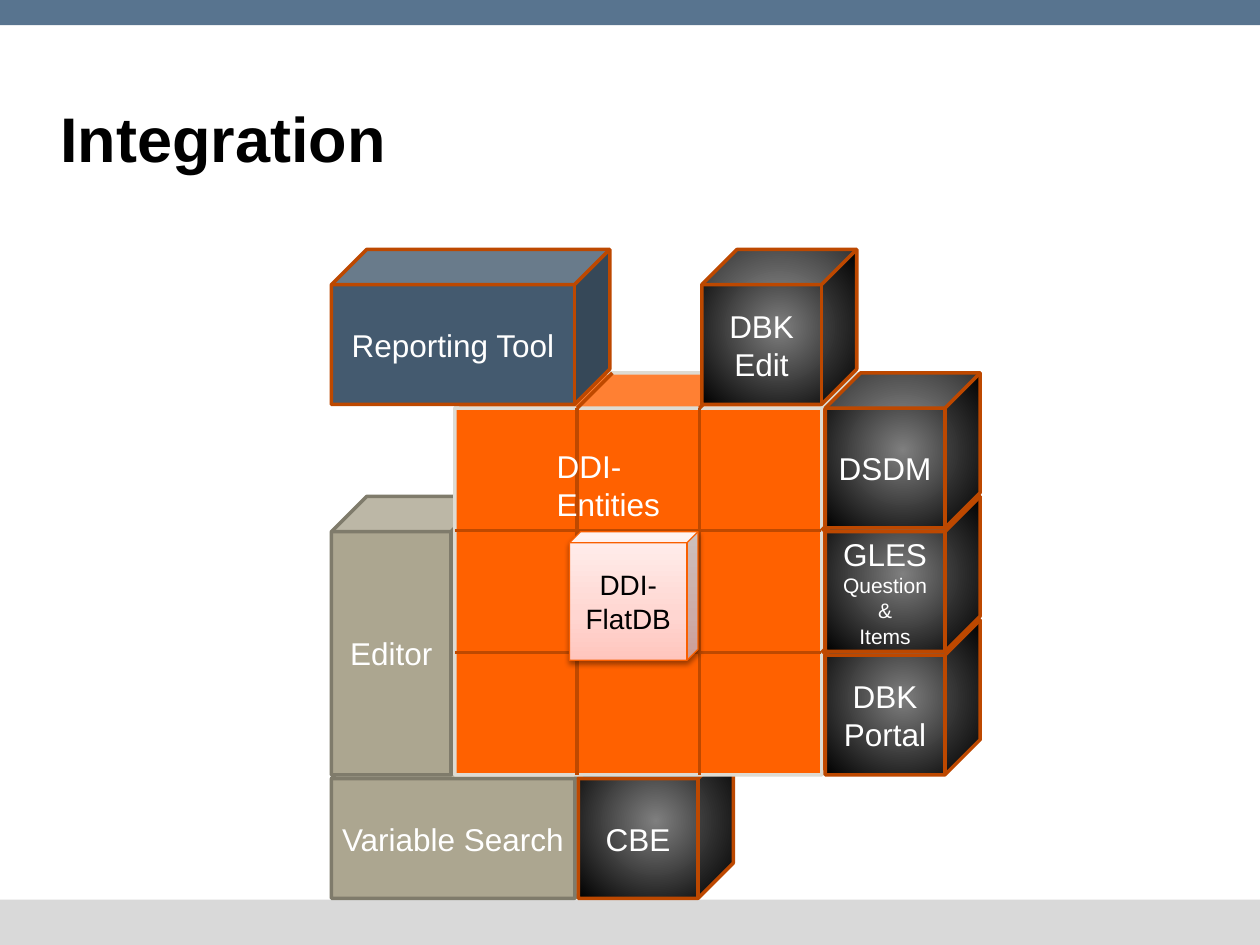
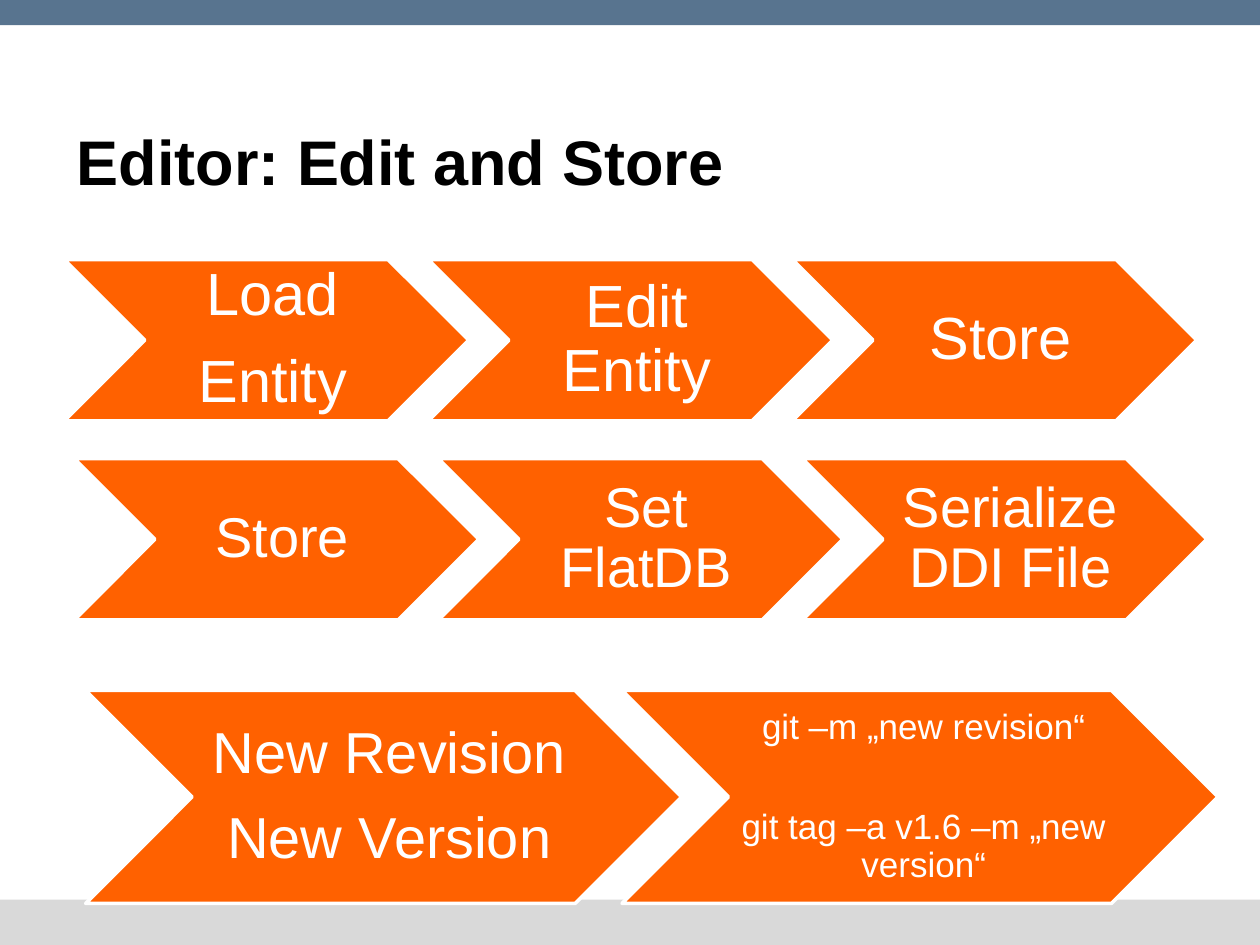
from pptx import Presentation
from pptx.dml.color import RGBColor
from pptx.enum.shapes import MSO_CONNECTOR as Connector, MSO_SHAPE as Shape
from pptx.enum.text import MSO_ANCHOR as Anchor, MSO_AUTO_SIZE as AutoSize, PP_ALIGN as Align
from pptx.oxml import parse_xml
from pptx.oxml.ns import nsdecls, qn
from pptx.util import Pt

PX = 9144  # EMU per px, 100 px to the inch
FONT = "Arial"
COLORS = {
    "band": "58748F", "footer": "D9D9D9", "white": "FFFFFF", "black": "000000",
    "orange": "FF6100", "rust": "BD4800", "grid": "BF4900", "pale": "DEDBD3",
    "sand": "ACA690", "sand edge": "7F7B6B", "slate": "445A6F", "flame": "F95F00",
}
DARK_STOPS = [(0, "7F7F7F"), (100, "000000")]
PINK_STOPS = [(0, "FFC5BD"), (35, "FFD6D1"), (100, "FFF0EE")]
FROM_CENTRE = ('<a:path path="circle"><a:fillToRect l="50000" t="50000" '
               'r="50000" b="50000"/></a:path>')
UPWARD = '<a:lin ang="16200000" scaled="0"/>'
# fill colour (None for the dark gradient) and edge colour
CUBE_STYLES = {
    "sand": ("sand", "sand edge"),
    "dark": (None, "rust"),
    "slate": ("slate", "rust"),
    "core": ("orange", "pale"),
}
CELL, DEPTH = 98, 28
CUBE_EXTRA = 25  # how far a cube reaches beyond its cells


def rgb(name):
    return RGBColor.from_string(COLORS[name])


def emu(*lengths):
    return [round(length * PX) for length in lengths]


def set_all(target, values):
    for name, value in values.items():
        setattr(target, name, value)


def add_block(slide, kind, box, fill=None, edge=None, weight=2):
    block = slide.shapes.add_shape(kind, *emu(*box))
    block.shadow.inherit = False
    if fill:
        block.fill.solid()
        block.fill.fore_color.rgb = rgb(fill)
    if edge:
        block.line.color.rgb = rgb(edge)
        block.line.width = Pt(weight)
    else:
        block.line.fill.background()
    return block


def fill_gradient(block, stops, direction):
    block.fill.background()
    marks = "".join(f'<a:gs pos="{pos * 1000}"><a:srgbClr val="{color}"/></a:gs>'
                    for pos, color in stops)
    gradient = parse_xml(f'<a:gradFill {nsdecls("a")} rotWithShape="1">'
                         f'<a:gsLst>{marks}</a:gsLst>{direction}</a:gradFill>')
    properties = block._element.spPr
    properties.replace(properties.find(qn("a:noFill")), gradient)


def write(block, lines, color="white", align=Align.CENTER, anchor=Anchor.MIDDLE,
          insets=(5, 5, 5, 5), **spacing):
    """Fill a shape with (text, size) lines."""
    frame = block.text_frame
    left, top, right, bottom = emu(*insets)
    set_all(frame, {"word_wrap": True, "vertical_anchor": anchor,
                    "margin_left": left, "margin_top": top,
                    "margin_right": right, "margin_bottom": bottom})
    for index, (text, size) in enumerate(lines):
        line = frame.add_paragraph() if index else frame.paragraphs[0]
        line.text = text
        set_all(line, {"alignment": align, **spacing})
        set_all(line.font, {"name": FONT, "size": Pt(size)})
        line.font.color.rgb = rgb(color)


def add_bands(layout, slide):
    """Draw the top and bottom bands and move them behind everything on the layout."""
    for color, box in (("footer", (0, 714, 1000, 36)), ("band", (-20, -11, 1039, 31))):
        band = add_block(slide, Shape.RECTANGLE, box, color)
        layout.shapes._spTree.insert(2, band._element)


def set_title(slide, text, left, top):
    title = slide.shapes.title
    box = dict(zip(("left", "top", "width", "height"), emu(left, top, 900, 125)))
    set_all(title, box)
    write(title, [(text, 36)], "black", Align.LEFT, Anchor.TOP, (10, 5, 10, 5))
    title.text_frame.auto_size = AutoSize.NONE
    title.text_frame.paragraphs[0].font.bold = True


def add_cube(slide, origin, column, row, columns, rows, style, lines=()):
    """Place a cube that covers the given cells of the wall."""
    left, top = origin
    width, height = (CELL * cells + CUBE_EXTRA for cells in (columns, rows))
    box = (left + CELL * column, top + CELL * row, width, height)
    fill, edge = CUBE_STYLES[style]
    cube = add_block(slide, Shape.CUBE, box, fill, edge)
    cube.adjustments[0] = DEPTH / min(width, height)
    if not fill:
        fill_gradient(cube, DARK_STOPS, FROM_CENTRE)
    write(cube, lines)
    return box


def add_seam(slide, *ends):
    seam = slide.shapes.add_connector(Connector.STRAIGHT, *emu(*ends))
    seam.line.color.rgb = rgb("grid")
    seam.line.width = Pt(2)
    seam._element.spPr.append(parse_xml(f'<a:effectLst {nsdecls("a")}/>'))


def add_seams(slide, box):
    """Divide the front, top and side of the core cube into thirds."""
    left, top, width, height = box
    front, right, bottom = top + DEPTH, left + width - DEPTH, top + height
    for third in (1, 2):
        x = left + (right - left) * third / 3
        y = front + (bottom - front) * third / 3
        add_seam(slide, x, front, x, bottom)
        add_seam(slide, right, y, left, y)
        add_seam(slide, x + DEPTH, top, x, front)
        add_seam(slide, right + DEPTH, y - DEPTH, right, y)


def add_flat_db(slide, box):
    left, top, _, _ = box
    flat_db = add_block(slide, Shape.CUBE, (left + 91, top + 126, 102, 102),
                        edge="flame", weight=0.75)
    flat_db.adjustments[0] = 0.086
    fill_gradient(flat_db, PINK_STOPS, UPWARD)
    flat_db._element.spPr.find(qn("a:effectLst")).append(parse_xml(
        f'<a:outerShdw {nsdecls("a")} blurRad="{Pt(3.1)}" dist="{Pt(1.6)}" dir="5400000" '
        'rotWithShape="0"><a:srgbClr val="000000"><a:alpha val="38000"/></a:srgbClr>'
        '</a:outerShdw>'))
    write(flat_db, [("DDI-FlatDB", 16)], "black")


def add_core(slide, origin):
    core_box = add_cube(slide, origin, 1, 1, 3, 3, "core")
    add_seams(slide, core_box)
    add_flat_db(slide, core_box)
    left, top, _, _ = core_box
    entities = slide.shapes.add_textbox(*emu(left + 71, top + 54, 142, 40))
    write(entities, [("DDI-Entities", 18)], align=Align.LEFT, anchor=Anchor.TOP,
          insets=(10, 5, 10, 5))


def build_integration(slide):
    set_title(slide, "Integration", 38, 74)
    wall = (263, 198)
    behind = [
        (0, 4, 2, 1, "sand", [("Variable Search", 18)]),
        (2, 4, 1, 1, "dark", [("CBE", 18)]),
        (0, 2, 1, 2, "sand", [("Editor", 18)]),
    ]
    in_front = [
        (0, 0, 2, 1, "slate", [("Reporting Tool", 18)]),
        (3, 0, 1, 1, "dark", [("DBK Edit", 18)]),
        (4, 3, 1, 1, "dark", [("DBK Portal", 18)]),
        (4, 2, 1, 1, "dark", [("GLES", 18), ("Question", 12), ("&", 12), ("Items", 12)]),
        (4, 1, 1, 1, "dark", [("DSDM", 18)]),
    ]
    for cube in behind:
        add_cube(slide, wall, *cube)
    add_core(slide, wall)
    for cube in in_front:
        add_cube(slide, wall, *cube)


def add_process(slide, box, steps):
    """Lay out overlapping chevrons; box is the first one."""
    left, top, width, height = box
    for index, (lines, inset, gap) in enumerate(steps):
        chevron = add_block(slide, Shape.CHEVRON,
                            (left + 0.9 * width * index, top, width, height),
                            "orange", "white")
        margin = 3 if inset < 10 else 5
        write(chevron, lines, insets=(inset, margin, margin, margin),
              line_spacing=0.9, space_after=Pt(gap))


def build_edit_and_store(slide):
    set_title(slide, "Editor: Edit and Store", 51, 92)
    editing = [[("Load", 34), ("Entity", 34)], [("Edit Entity", 34)], [("Store", 34)]]
    storing = [[(text, 32)] for text in ("Store", "Set FlatDB", "Serialize DDI File")]
    add_process(slide, (51, 206, 321, 128), [(lines, 15, 13) for lines in editing])
    add_process(slide, (59, 364, 321, 128), [(lines, 14, 13) for lines in storing])
    add_process(slide, (68, 548, 473, 169), [
        ([("New Revision", 33), ("New Version", 33)], 14, 13),
        ([("git –m „new revision“", 20), ("git tag –a v1.6 –m „new version“", 20)], 9, 36),
    ])


def main():
    deck = Presentation()
    deck.slide_width, deck.slide_height = emu(1000, 750)
    title_only = deck.slide_layouts[5]
    integration, edit_and_store = (deck.slides.add_slide(title_only) for _ in range(2))
    add_bands(title_only, integration)
    build_integration(integration)
    build_edit_and_store(edit_and_store)
    deck.save("out.pptx")


if __name__ == "__main__":
    main()
